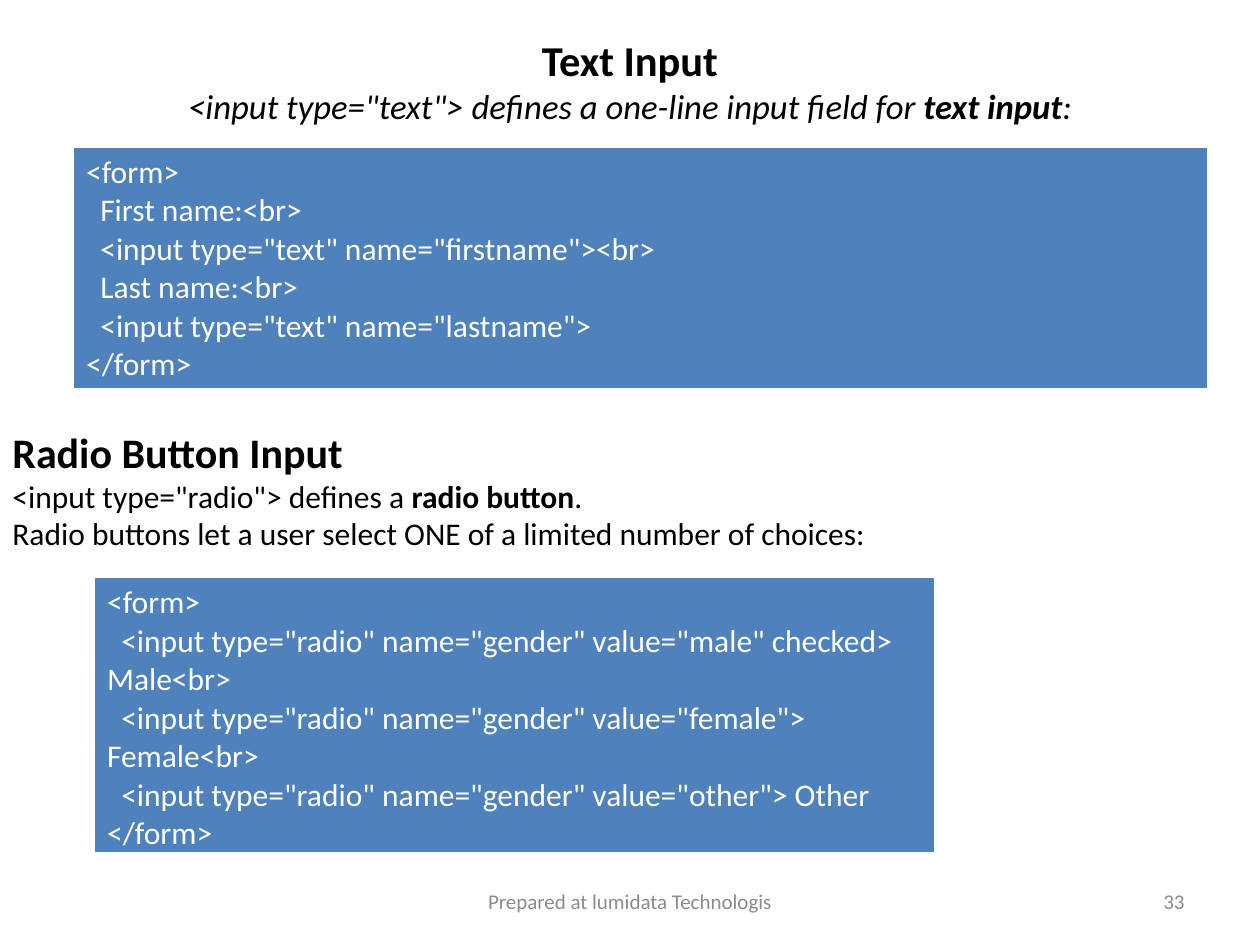
"""Build a slide on HTML text and radio button inputs."""
from dataclasses import dataclass

from lxml.etree import SubElement
from pptx import Presentation
from pptx.dml.color import RGBColor
from pptx.enum.text import MSO_ANCHOR as Anchor, MSO_AUTO_SIZE as AutoSize, PP_ALIGN as Align
from pptx.oxml.ns import qn
from pptx.util import Pt

BLACK, WHITE, GREY, BLUE = "000000", "FFFFFF", "8C8C8C", "4F81BD"


@dataclass
class Run:
    text: str
    size: float = 18
    color: str = BLACK
    bold: bool = False
    italic: bool = False


@dataclass
class Box:
    left: float
    top: float
    width: float
    height: float
    paragraphs: list[list[Run]]
    align: Align = Align.LEFT
    anchor: Anchor = Anchor.MIDDLE
    wrap: bool = True
    bottom: float = 3.6


@dataclass
class Code:
    left: float
    top: float
    width: float
    height: float
    text: str


def rgb(value: str) -> RGBColor:
    return RGBColor.from_string(value)


def add_run(p, run: Run) -> None:
    for i, line in enumerate(run.text.split("\n")):
        if i:
            p.add_line_break()
        if line:
            r = p.add_run()
            r.text = line
            r.font.name = "Calibri"
            r.font.size = Pt(run.size)
            r.font.bold = run.bold
            r.font.italic = run.italic
            r.font.color.rgb = rgb(run.color)


def add_box(s, box: Box) -> None:
    sp = s.shapes.add_textbox(Pt(box.left), Pt(box.top), Pt(box.width), Pt(box.height))
    tf = sp.text_frame
    tf.word_wrap = box.wrap
    tf.auto_size = AutoSize.NONE if box.wrap else AutoSize.SHAPE_TO_FIT_TEXT
    tf.vertical_anchor = box.anchor
    tf.margin_bottom = Pt(box.bottom)
    for i, runs in enumerate(box.paragraphs):
        p = tf.add_paragraph() if i else tf.paragraphs[0]
        p.alignment = box.align
        for run in runs:
            add_run(p, run)


def add_border(cell, side: str, width: float) -> None:
    ln = SubElement(cell._tc.get_or_add_tcPr(), qn(f"a:{side}"), w=str(Pt(width)))
    SubElement(SubElement(ln, qn("a:solidFill")), qn("a:srgbClr"), val=WHITE)


def add_code(s, code: Code) -> None:
    frame = s.shapes.add_table(1, 1, Pt(code.left), Pt(code.top), Pt(code.width), Pt(code.height))
    table = frame.table
    table.first_row = table.horz_banding = False
    cell = table.cell(0, 0)
    for side, width in (("lnL", 1), ("lnR", 1), ("lnT", 1), ("lnB", 3)):
        add_border(cell, side, width)
    cell.fill.solid()
    cell.fill.fore_color.rgb = rgb(BLUE)
    add_run(cell.text_frame.paragraphs[0], Run(code.text, color=WHITE))


TEXT_FORM = """<form>
  First name:<br>
  <input type="text" name="firstname"><br>
  Last name:<br>
  <input type="text" name="lastname">
</form>"""

RADIO_FORM = """<form>
  <input type="radio" name="gender" value="male" checked> Male<br>
  <input type="radio" name="gender" value="female"> Female<br>
  <input type="radio" name="gender" value="other"> Other
</form>"""

TITLE = Box(36, 21.6, 648, 90, [[
    Run("Text Input\n", 24.3, bold=True),
    Run('<input type="text"> defines a one-line input field for ', 19.8, italic=True),
    Run("text input", 19.8, bold=True, italic=True),
    Run(":", 19.8, italic=True),
]], Align.CENTER, bottom=45)

RADIO_INTRO = Box(0, 240, 508, 101.5, [
    [Run("Radio Button Input", 24, bold=True)],
    [Run('<input type="radio"> defines a '), Run("radio button", bold=True), Run(".")],
    [Run("Radio buttons let a user select ONE of a limited number of choices:")],
], anchor=Anchor.TOP, wrap=False)

NUMBER = Box(516, 500.5, 168, 28.75, [[Run("33", 12, GREY)]], Align.RIGHT)
FOOTER = Box(246, 500.5, 228, 28.75,
             [[Run("Prepared at lumidata Technologis", 12, GREY)]], Align.CENTER)


def main() -> None:
    prs = Presentation()
    prs.slide_width, prs.slide_height = Pt(720), Pt(540)
    s = prs.slides.add_slide(prs.slide_layouts[6])
    add_box(s, TITLE)
    add_code(s, Code(42, 84, 648, 137, TEXT_FORM))
    add_box(s, RADIO_INTRO)
    add_code(s, Code(54, 330, 480, 158.4, RADIO_FORM))
    add_box(s, NUMBER)
    add_box(s, FOOTER)
    prs.save("out.pptx")


if __name__ == "__main__":
    main()
